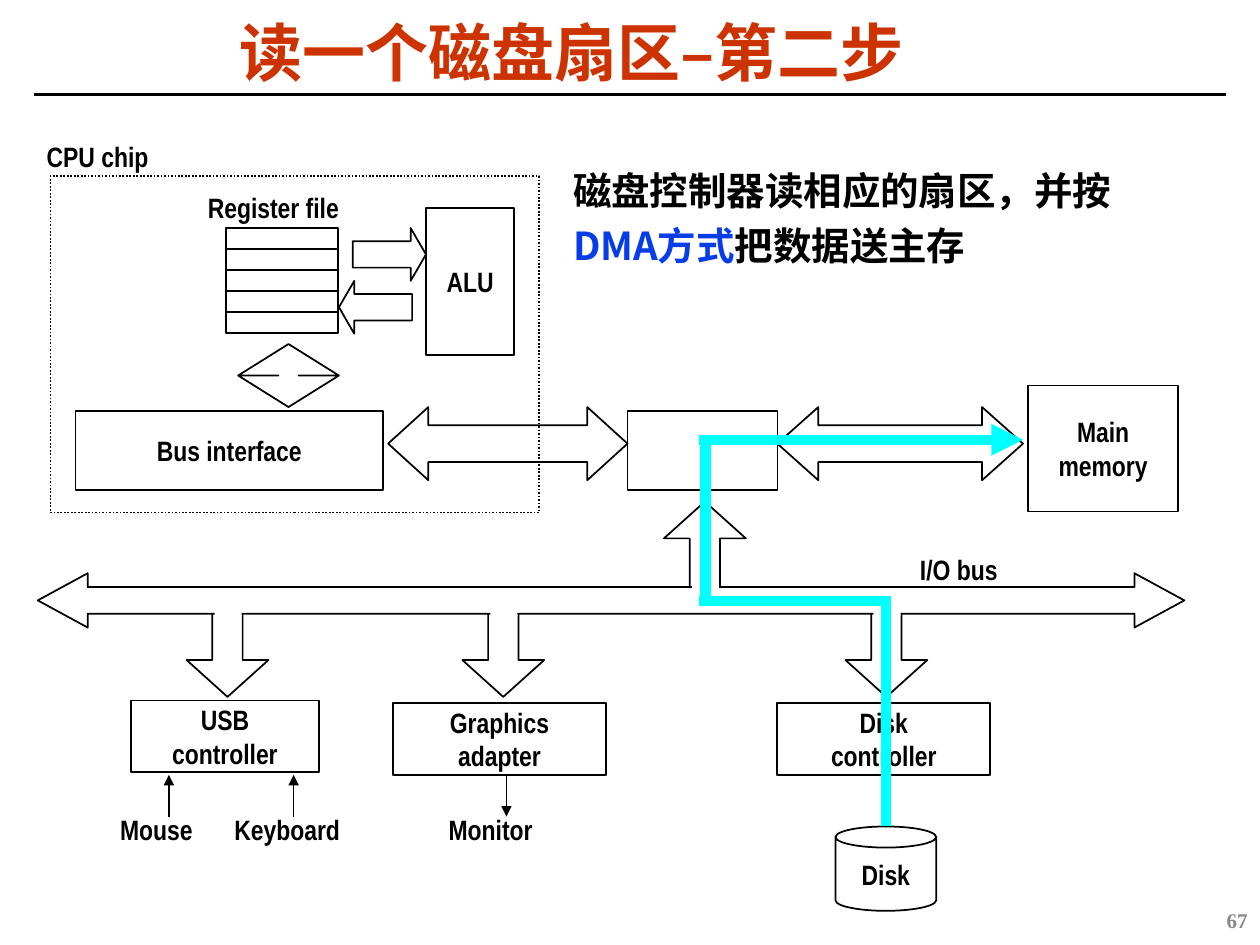
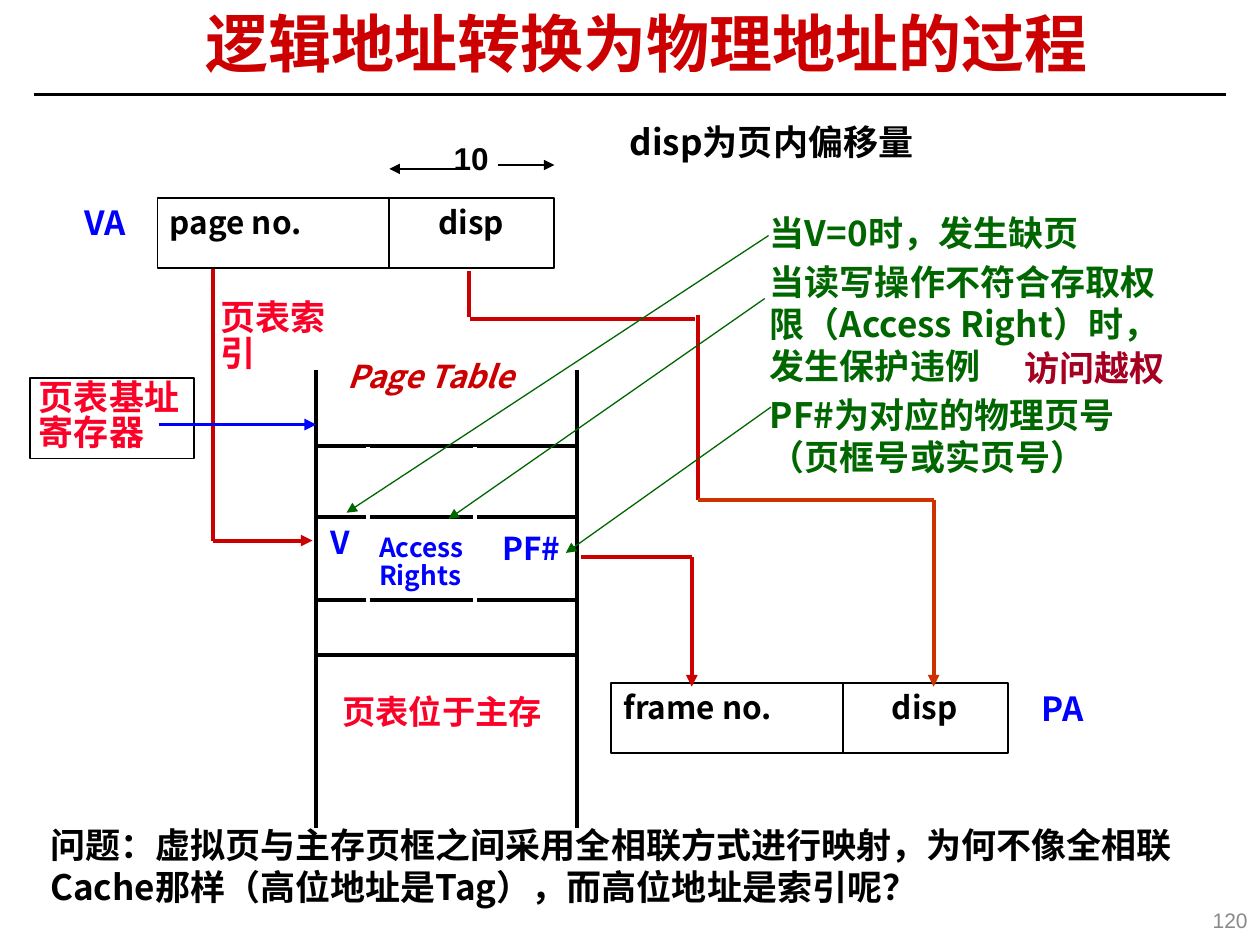
import pptx
import pptx.util
import pptx.dml.color
import pptx.enum.dml
import pptx.enum.shapes
import pptx.enum.text
import pptx.oxml
import pptx.oxml.ns

Pt = pptx.util.Pt
RGB = pptx.dml.color.RGBColor.from_string
MSO = pptx.enum.shapes.MSO_SHAPE
ALIGN = pptx.enum.text.PP_ALIGN
ANCHOR = pptx.enum.text.MSO_ANCHOR
CJK = "Noto Sans CJK SC"
C = {
    "black": "000000", "white": "FFFFFF", "grey": "898989", "orange": "CC3300",
    "red": "CC0000", "pink": "FC0128", "wine": "A50021", "blue": "0000FF",
    "royal": "063DE8", "cyan": "00FFFF", "green": "006600",
}


def box(s, kind, x, y, w, h, paras=(), font=CJK, size=16, color="black", bold=True,
        italic=False, align=ALIGN.LEFT, anchor=ANCHOR.TOP, spacing=None, before=0,
        inset=(7.2, 3.6), wrap=False, fill=None, border="black", adj=()):
    """Add a preset shape, or a text box when kind is None.

    Each paragraph is a string or a list of (text, colour) runs.
    """
    at = [Pt(v) for v in (x, y, w, h)]
    if kind is None:
        sp = s.shapes.add_textbox(*at)
    else:
        sp = s.shapes.add_shape(kind, *at)
        sp.shadow.inherit = False
        for i, value in enumerate(adj):
            sp.adjustments[i] = value
        if fill:
            sp.fill.solid()
            sp.fill.fore_color.rgb = RGB(C[fill])
        else:
            sp.fill.background()
        if border:
            sp.line.color.rgb = RGB(C[border])
            sp.line.width = Pt(1)
        else:
            sp.line.fill.background()
    tf = sp.text_frame
    tf.word_wrap = wrap
    tf.vertical_anchor = anchor
    tf.margin_left = tf.margin_right = Pt(inset[0])
    tf.margin_top = tf.margin_bottom = Pt(inset[1])
    for i, runs in enumerate(paras):
        p = tf.add_paragraph() if i else tf.paragraphs[0]
        p.alignment = align
        if spacing:
            p.line_spacing = spacing
        if i and before:
            p.space_before = Pt(before)
        for text, run_color in [(runs, color)] if isinstance(runs, str) else runs:
            r = p.add_run()
            r.text = text
            r.font.name, r.font.size = font, Pt(size)
            r.font.bold, r.font.italic = bold, italic
            r.font.color.rgb = RGB(C[run_color])
            ea = pptx.oxml.parse_xml(
                f'<a:ea {pptx.oxml.ns.nsdecls("a")} typeface="{CJK}"/>')
            r.font._element.find(pptx.oxml.ns.qn("a:latin")).addnext(ea)
    return sp


def line(s, x1, y1, x2, y2, color="black", width=1, arrow=False):
    """Add a straight line, with an arrowhead at its end if arrow is set."""
    cn = s.shapes.add_connector(pptx.enum.shapes.MSO_CONNECTOR.STRAIGHT,
                                Pt(x1), Pt(y1), Pt(x2), Pt(y2))
    cn.line.color.rgb = RGB(C[color])
    cn.line.width = Pt(width)
    ns = pptx.oxml.ns.nsdecls("a")
    if arrow:
        cn.line._get_or_add_ln().append(
            pptx.oxml.parse_xml(f'<a:tailEnd {ns} type="triangle"/>'))
    cn._element.spPr.append(pptx.oxml.parse_xml(f"<a:effectLst {ns}/>"))


prs = pptx.Presentation()
prs.slide_width, prs.slide_height = Pt(720), Pt(540)

# Rule, title and page number of every slide
slides = []
for title, title_at, title_style, number, number_style in [
    ("读一个磁盘扇区–第二步", (28, 10, 597.6, 44.6),
     dict(color="orange", anchor=ANCHOR.MIDDLE),
     "67", dict(font="Times New Roman")),
    ("逻辑地址转换为物理地址的过程", (98.6, 6.5, 542.2, 41.8),
     dict(color="red", font="Arial", inset=(5, 2)),
     "120", dict(font="Arial", bold=False)),
]:
    s = prs.slides.add_slide(prs.slide_layouts[6])
    line(s, 19.5, 54, 700.5, 54, width=1.5)
    box(s, None, *title_at, [title], size=36, align=ALIGN.CENTER, spacing=0.87,
        wrap=True, **title_style)
    box(s, None, 558, 511.2, 162, 28.8, [number], size=12, color="grey",
        align=ALIGN.RIGHT, anchor=ANCHOR.MIDDLE, wrap=True, **number_style)
    slides.append(s)

# Slide 1: reading a disk sector
s = slides[0]
label = dict(font="Arial Narrow", align=ALIGN.CENTER, anchor=ANCHOR.MIDDLE)

# CPU chip, bridge and memory
for row in range(5):
    box(s, MSO.RECTANGLE, 129, 130.3 + 12 * row, 64, 12)
for kind, at, adj in [
    (MSO.LEFT_RIGHT_ARROW, (444.2, 232.6, 140.4, 41.8), (0.5, 0.56)),
    (MSO.LEFT_RIGHT_ARROW, (221.8, 232.6, 136.8, 41.8), (0.5, 0.55)),
    (MSO.RIGHT_ARROW, (201.6, 130.3, 41.8, 30.2), (0.5, 0.29)),
    (MSO.LEFT_ARROW, (193.7, 160.5, 41.8, 30.2), (0.5, 0.29)),
    (MSO.UP_DOWN_ARROW, (136.1, 196.6, 57.6, 36), (0.5, 0.2)),
]:
    box(s, kind, *at, adj=adj)
chip = box(s, MSO.RECTANGLE, 28.8, 100.8, 279.4, 192.2)
chip.line.dash_style = pptx.enum.dml.MSO_LINE.ROUND_DOT
for at, paras in [
    ((587.5, 220.3, 85.7, 72), ["Main", "memory"]),
    ((358.6, 234.7, 85.7, 45.4), []),
    ((243.4, 118.8, 50.4, 84.2), ["ALU"]),
    ((43.2, 234.7, 175.7, 45.4), ["Bus interface"]),
    ((444.2, 401.8, 121.7, 41), ["Disk", "controller"]),
    ((224.6, 401.8, 121.7, 41), ["Graphics", "adapter"]),
    ((74.9, 400.3, 107.3, 41), ["USB", "controller"]),
]:
    box(s, MSO.RECTANGLE, *at, paras, **label)
box(s, MSO.CAN, 477.4, 472.3, 57.6, 48.2, ["Disk"], adj=(0.25,), **label)

# I/O bus: branch arrows, the bus itself, then patches that open the joints
branches = [106.6, 264.2, 483.1]
branch_adj = (0.37, 0.45)
box(s, MSO.UP_ARROW, 379.4, 286.6, 46.8, 54, adj=branch_adj)
for x in branches:
    box(s, MSO.DOWN_ARROW, x, 344.2, 46.8, 54, adj=branch_adj)
box(s, MSO.LEFT_RIGHT_ARROW, 21.6, 327.6, 655.2, 31, fill="white", adj=(0.49, 0.92))
for x, y in [(395.3, 334.8)] + [(x + 16, 340) for x in branches]:
    box(s, MSO.RECTANGLE, x, y, 15.5, 12.2, fill="white", border=None)

for text, x, y, w in [
    ("Register file", 111.6, 105.1, 89.3), ("CPU chip", 19.4, 76.3, 72.7),
    ("Mouse", 61.2, 460.8, 56.2), ("Keyboard", 126.7, 460.8, 74.9),
    ("Monitor", 249.1, 460.8, 62.6), ("I/O bus", 518.4, 311.8, 59),
]:
    box(s, None, x, y, w, 26.6, [text], **label)
for x, y1, y2 in [(96.5, 466.6, 442.8), (167.8, 466.6, 442.8), (289.4, 442.8, 466.6)]:
    line(s, x, y1, x, y2, arrow=True)

# Data path from disk to memory
for x1, y1, x2, y2, arrow in [
    (399.6, 251.3, 584.6, 251.3, True), (403.2, 251.3, 403.2, 340.6, False),
    (399.6, 343.4, 506.2, 343.4, False), (506.2, 340.6, 506.2, 472.3, False),
]:
    line(s, x1, y1, x2, y2, "cyan", 6, arrow)
box(s, None, 320.4, 86.4, 354.2, 70.6,
    [[("磁盘控制器读相应的扇区，并按", "black"), ("DMA方式", "royal"),
      ("把数据送主存", "black")]], size=22, spacing=1.2, wrap=True)

# Slide 2: logical to physical address
s = slides[1]
tight = dict(spacing=0.85, inset=(5, 2))

# Virtual and physical address fields
for x, y, field, field_w, name, name_x in [
    (90, 113, "page no.", 88.6, "VA", 43.2),
    (349.2, 390.2, "frame no.", 97.2, "PA", 590.4),
]:
    box(s, MSO.RECTANGLE, x, y, 226.8, 40.3)
    line(s, x + 132.5, y, x + 132.5, y + 40.3)
    box(s, None, x + 2, y + 4.3, field_w, 22.3, [field], size=18, **tight)
    box(s, None, x + 155.5, y + 4.3, 48.2, 22.3, ["disp"], size=18, **tight)
    box(s, None, name_x, y + 4.3, 37.5, 23, [name], size=19, color="blue", **tight)
box(s, None, 254.2, 80.6, 30.2, 22.3, ["10"], font="Arial", size=18, **tight)
line(s, 284.4, 94.3, 316.8, 94.3, arrow=True)
line(s, 260.6, 96.5, 222.5, 96.5, arrow=True)

# Page table
for x in (180.7, 329.8):
    line(s, x, 211.7, x, 473.4, width=2.25)
for y in (254.9, 295.2, 342.7, 374.4):
    line(s, 181.4, y, 329, y, width=2.25)
for x in (210.2, 271.4):
    line(s, x, 255.6, x, 367.9, "white", 2.25)
box(s, None, 193.7, 205.2, 109.4, 22.3, ["Page Table"], size=18, color="red",
    italic=True, **tight)
box(s, None, 183.6, 300.2, 23, 22.3, ["V"], size=18, color="blue", **tight)
box(s, None, 211.7, 303.5, 60.5, 36, ["Access", "Rights"], size=15, color="blue",
    spacing=0.9, inset=(5, 2))
box(s, None, 282.2, 303.8, 43.2, 22.3, ["PF#"], size=18, color="blue", **tight)
box(s, None, 190.8, 396.7, 123.8, 23, ["页表位于主存"], font="Arial", size=19,
    color="pink", align=ALIGN.CENTER, **tight)
box(s, None, 121, 170.6, 90, 24.5, ["页表索引"], font="Arial", size=20,
    color="pink", wrap=True, **tight)
box(s, MSO.RECTANGLE, 17.3, 216, 93.6, 46.1, ["页表基址寄存器"], font="Arial",
    size=20, color="pink", wrap=True, **tight)

# Address paths
for color, x1, y1, x2, y2, arrow in [
    ("red", 121.7, 154, 121.7, 308.9, False), ("red", 121.7, 308.9, 178.6, 308.9, True),
    ("blue", 90.7, 242.6, 180.7, 242.6, True),
    ("red", 267.8, 154.8, 267.8, 181.4, False), ("red", 268.6, 182.2, 397.4, 182.2, False),
    ("red", 398.9, 180, 398.9, 285.8, False),
    ("orange", 398.9, 285.8, 533.5, 285.8, False),
    ("orange", 533.5, 285.8, 533.5, 392.4, True),
    ("red", 331.9, 318.2, 395.3, 318.2, False), ("red", 395.3, 318.2, 395.3, 392.4, True),
]:
    line(s, x1, y1, x2, y2, color, 2.25, arrow)

# Notes and their pointers
box(s, None, 439.9, 121, 231.1, 153.4,
    ["当V=0时，发生缺页",
     "当读写操作不符合存取权限（Access Right）时，发生保护违例",
     "PF#为对应的物理页号（页框号或实页号）"],
    size=20, color="green", before=4, inset=(0, 0), wrap=True)
for x1, y1, x2, y2 in [(439.2, 134.6, 198, 293), (437, 170.6, 256.3, 296.6),
                       (440.6, 232.6, 323.3, 316)]:
    line(s, x1, y1, x2, y2, "green", 0.75, True)
for text, color, at in [
    ("disp为页内偏移量", "black", (352.8, 65.5, 177.1, 31)),
    ("访问越权", "wine", (578.2, 194.4, 117.4, 31)),
    ("问题：虚拟页与主存页框之间采用全相联方式进行映射，为何不像全相联Cache那样"
     "（高位地址是Tag），而高位地址是索引呢？", "black", (21.6, 467.3, 657.4, 55.4)),
]:
    box(s, None, *at, [text], size=20, color=color, wrap=True)

prs.save("out.pptx")
